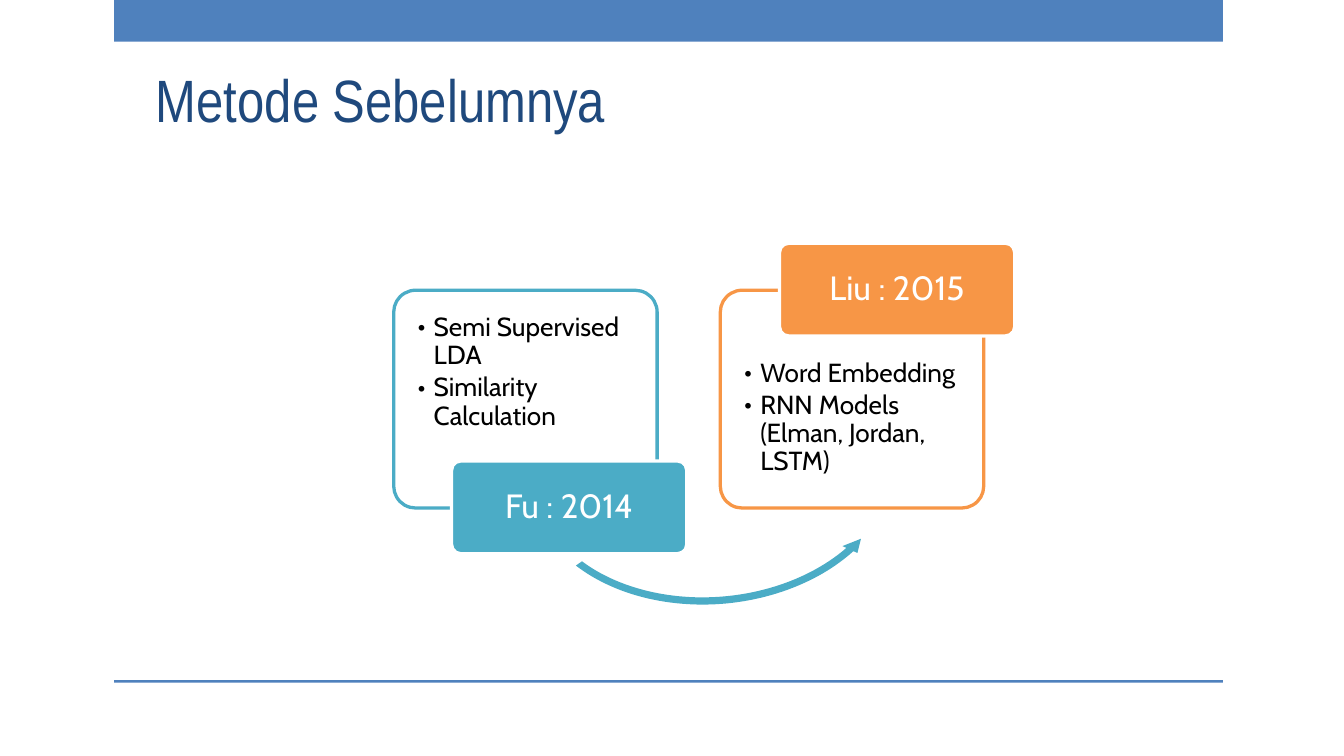
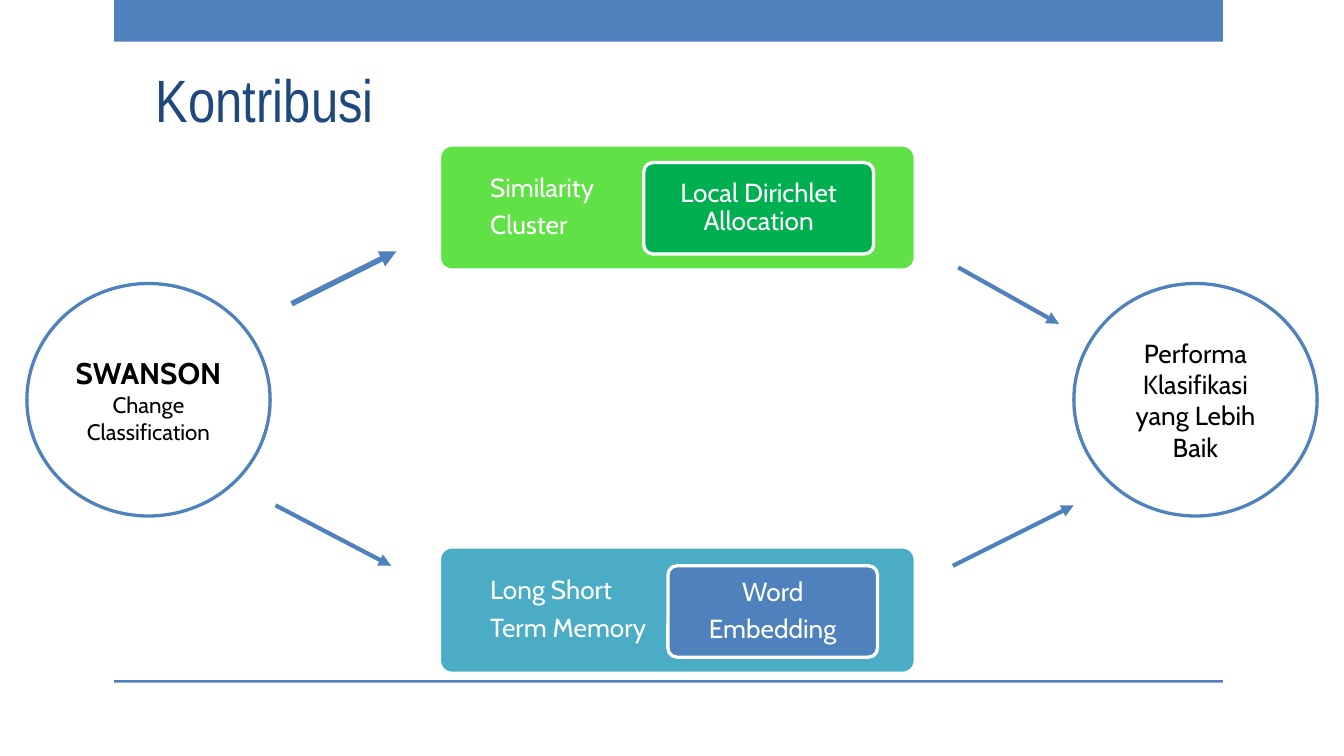
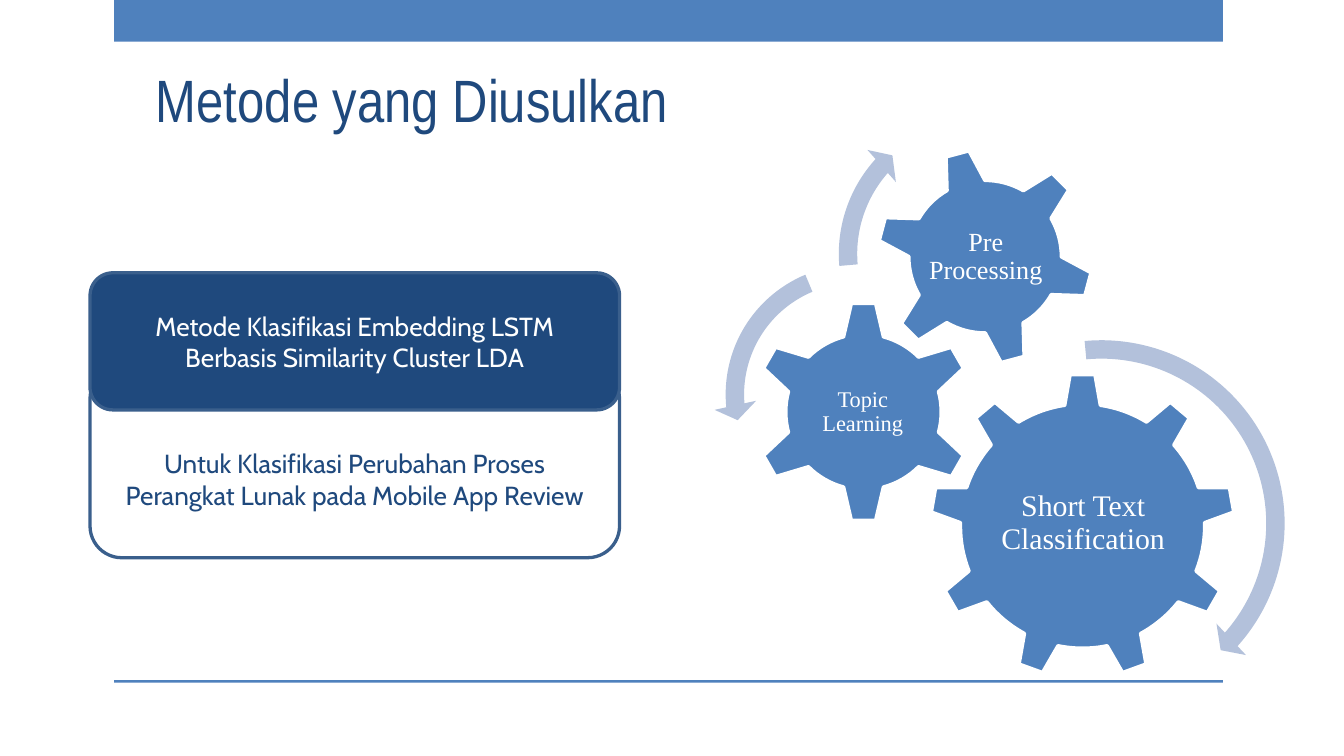
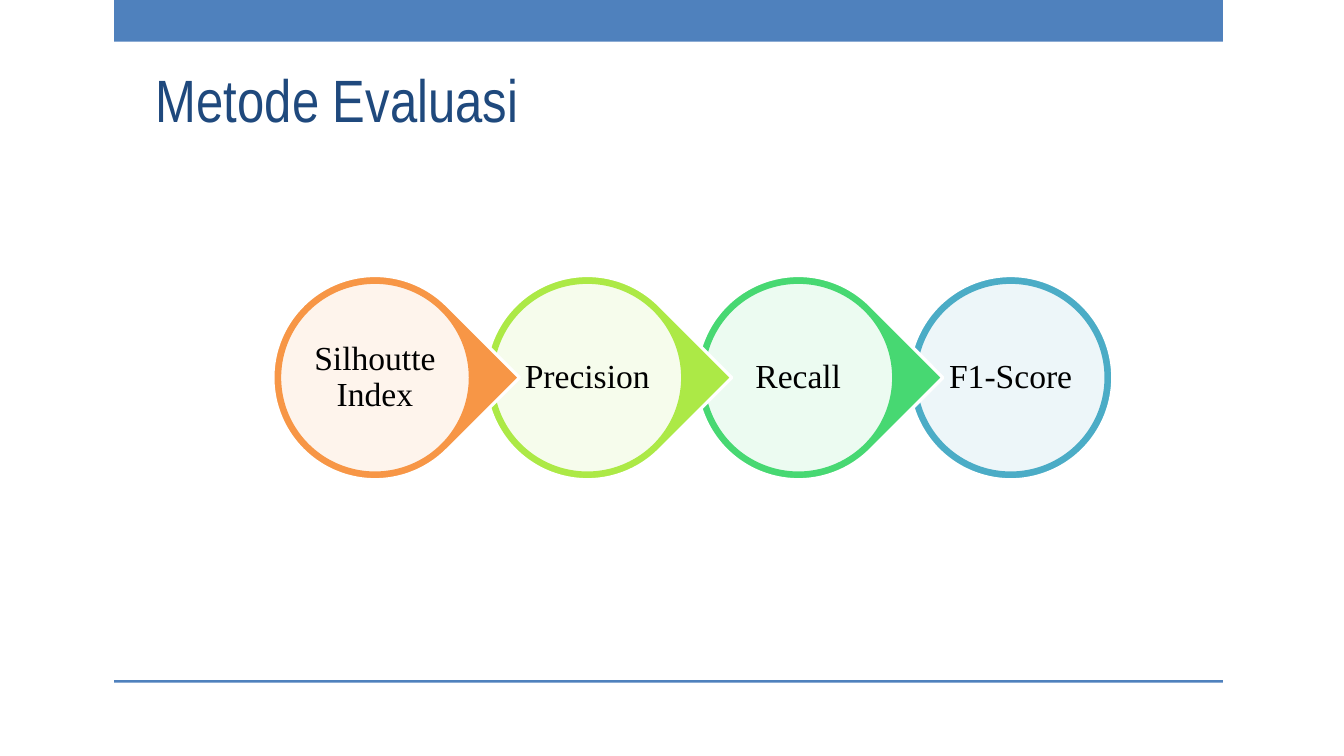
from lxml.etree import SubElement
from pptx import Presentation
from pptx.dml.color import RGBColor
from pptx.enum.shapes import MSO_CONNECTOR, MSO_SHAPE
from pptx.enum.text import MSO_ANCHOR, MSO_AUTO_SIZE, PP_ALIGN
from pptx.oxml.ns import qn
from pptx.util import Pt

PX = 9144  # EMU in one px, 100 px to the inch
SLIDE_WIDTH = 1000
LINE_WIDTH = 1.75

COLORS = {
    "white": "FFFFFF",
    "black": "000000",
    "blue": "4F81BD",
    "navy": "1F497D",
    "navy_edge": "3A5F8C",
    "pale_blue": "B3C1DB",
    "teal": "4BACC6",
    "orange": "F79646",
    "lime": "ACE946",
    "mint": "47D872",
    "bright_green": "60E146",
    "green": "00B050",
}
TITLE_FONT, SANS, SERIF = "Arial Narrow", "Cabin", "Times New Roman"


def rgb(name):
    return RGBColor.from_string(COLORS[name])


def emu(*lengths):
    return [length * PX for length in lengths]


# Building blocks

def add_shape(slide, kind, box, fill=None, line=None, alpha=None, rotation=0, corner=None):
    shape = slide.shapes.add_shape(kind, *emu(*box))
    shape.shadow.inherit = False
    shape.rotation = rotation
    if corner is not None:
        shape.adjustments[0] = corner
    if fill:
        shape.fill.solid()
        shape.fill.fore_color.rgb = rgb(fill)
    else:
        shape.fill.background()
    if alpha:
        color = shape.element.spPr.find(qn("a:solidFill")).find(qn("a:srgbClr"))
        SubElement(color, qn("a:alpha"), val=str(alpha * 1000))
    if line:
        shape.line.color.rgb = rgb(line)
        shape.line.width = Pt(LINE_WIDTH)
    else:
        shape.line.fill.background()
    return shape


def write(shape, lines, size, color, font=SANS, align=PP_ALIGN.CENTER,
          anchor=MSO_ANCHOR.MIDDLE, insets=(4, 3, 4, 3), spacing=1.0, after=0):
    """Fill a shape with one paragraph per line; insets are left, top, right, bottom."""
    frame = shape.text_frame
    frame.text = "\n".join(lines)
    frame.word_wrap = True
    frame.auto_size = MSO_AUTO_SIZE.NONE
    frame.vertical_anchor = anchor
    (frame.margin_left, frame.margin_top,
     frame.margin_right, frame.margin_bottom) = emu(*insets)
    for paragraph in frame.paragraphs:
        paragraph.alignment = align
        paragraph.line_spacing = spacing
        paragraph.space_after = Pt(after)
        for run in paragraph.runs:
            run.font.name = font
            run.font.size = Pt(size)
            run.font.color.rgb = rgb(color)
    return frame


def add_bullets(frame, indent):
    for paragraph in frame.paragraphs:
        properties = paragraph._p.get_or_add_pPr()
        properties.set("marL", str(indent * PX))
        properties.set("indent", str(-indent * PX))
        SubElement(properties, qn("a:buFont"), typeface=SANS)
        SubElement(properties, qn("a:buChar"), char="•")


def add_arrow(slide, start, end, width=2.25):
    arrow = slide.shapes.add_connector(MSO_CONNECTOR.STRAIGHT, *emu(*start, *end))
    arrow.line.color.rgb = rgb("blue")
    arrow.line.width = Pt(width)
    properties = arrow.element.spPr
    SubElement(properties.find(qn("a:ln")), qn("a:tailEnd"), type="triangle")
    SubElement(properties, qn("a:effectLst"))


def add_arc_arrow(slide, kind, box, fill, thickness, angles, head, rotation=0):
    """Thickness and head are percentages; angles (tip, end, start) are degrees."""
    arc = add_shape(slide, kind, box, fill, rotation=rotation)
    values = [thickness / 100, *(angle * 0.6 for angle in angles), head / 100]
    for index, value in enumerate(values):
        arc.adjustments[index] = value


def add_bands(slide):
    """Put the top band and the bottom rule behind everything on the layout."""
    layout_tree = slide.slide_layout.shapes.element
    for box in ((85, 0, 825, 31), (85, 506, 825, 2)):
        band = add_shape(slide, MSO_SHAPE.RECTANGLE, box, "blue")
        layout_tree.insert(2, band.element)


def add_titled_slide(deck, heading):
    slide = deck.slides.add_slide(deck.slide_layouts.get_by_name("Title Only"))
    title = slide.shapes.title
    title.left, title.top, title.width, title.height = emu(106, 37, 709, 68)
    write(title, [heading], 32, "navy", TITLE_FONT, PP_ALIGN.LEFT,
          MSO_ANCHOR.BOTTOM, (10, 5, 10, 5))
    return slide


# Elements of the content

def add_study_card(slide, left, color, points, text_top):
    card = add_shape(slide, MSO_SHAPE.ROUNDED_RECTANGLE, (left, 216, 196, 162),
                     "white", color, alpha=90, corner=0.1)
    frame = write(card, points, 14, "black", align=PP_ALIGN.LEFT, anchor=MSO_ANCHOR.TOP,
                  insets=(13, text_top, 13, 0), spacing=0.9, after=2)
    add_bullets(frame, 12)


def add_study_label(slide, left, top, color, study):
    label = add_shape(slide, MSO_SHAPE.ROUNDED_RECTANGLE, (left, top, 175, 69),
                      color, "white", corner=0.1)
    write(label, [study], 18, "white", spacing=0.9)


def add_method_box(slide, box, fill, lines, align=PP_ALIGN.CENTER, left_inset=4):
    method = add_shape(slide, MSO_SHAPE.ROUNDED_RECTANGLE, box, fill, "white", corner=0.1)
    write(method, lines, 14, "white", align=align, insets=(left_inset, 3, 4, 3),
          spacing=0.9, after=5)


def add_end_circle(slide, left, lines):
    circle = add_shape(slide, MSO_SHAPE.OVAL, (left, 211, 181, 173), "white", "blue")
    return write(circle, lines, 14, "black", insets=(9, 5, 9, 5))


def add_gear(slide, kind, box, label_box, label, size, rotation=0):
    add_shape(slide, kind, box, "blue", "white", rotation=rotation)
    caption = slide.shapes.add_textbox(*emu(*label_box))
    write(caption, [label], size, "white", SERIF, insets=(2, 2, 2, 2), spacing=0.9)


def add_measure(slide, left, color, measure, is_last):
    outer_kind = MSO_SHAPE.OVAL if is_last else MSO_SHAPE.TEAR
    add_shape(slide, outer_kind, (left, 205, 152, 152), color, "white",
              rotation=0 if is_last else 45)
    disc = add_shape(slide, MSO_SHAPE.OVAL, (left + 5, 210, 142, 142),
                     "white", color, alpha=90)
    write(disc, [measure], 18, "black", SERIF, insets=(0, 0, 0, 0), spacing=0.9)


# Slides

def build_previous_methods(deck):
    slide = add_titled_slide(deck, "Metode Sebelumnya")
    add_bands(slide)
    add_study_card(slide, 293, "teal", ["Semi Supervised LDA", "Similarity Calculation"], 13)
    add_arc_arrow(slide, MSO_SHAPE.LEFT_CIRCULAR_ARROW, (390, 248, 281, 205), "teal",
                  2.6, (5.23, 34.82, 150.41), 3, rotation=355)
    add_study_label(slide, 336, 343, "teal", "Fu : 2014")
    add_study_card(slide, 536, "orange",
                   ["Word Embedding", "RNN Models (Elman, Jordan, LSTM)"], 47)
    add_study_label(slide, 580, 181, "orange", "Liu : 2015")


def build_contribution(deck):
    slide = add_titled_slide(deck, "Kontribusi")
    source = add_end_circle(slide, 20, ["SWANSON", "Change Classification"])
    for paragraph, size, bold in zip(source.paragraphs, (16, 12), (True, False)):
        paragraph.runs[0].font.size = Pt(size)
        paragraph.runs[0].font.bold = bold
    add_end_circle(slide, 799, ["Performa Klasifikasi yang Lebih Baik"])

    # Each method holds the technique it builds on
    add_method_box(slide, (327, 407, 354, 94), "teal",
                   ["Long Short", "Term Memory"], PP_ALIGN.LEFT, 35)
    add_method_box(slide, (497, 421, 156, 68), "blue", ["Word", "Embedding"])
    add_method_box(slide, (327, 108, 354, 93), "bright_green",
                   ["Similarity", "Cluster"], PP_ALIGN.LEFT, 35)
    add_method_box(slide, (479, 121, 171, 68), "green", ["Local Dirichlet Allocation"])

    add_arrow(slide, (217, 226), (295, 187), width=3)
    add_arrow(slide, (205, 376), (291, 421))
    add_arrow(slide, (713, 199), (788, 241))
    add_arrow(slide, (709, 421), (799, 376))


def build_proposed_method(deck):
    slide = add_titled_slide(deck, "Metode yang Diusulkan")
    purpose = add_shape(slide, MSO_SHAPE.ROUNDED_RECTANGLE, (67, 273, 394, 142),
                        line="navy_edge")
    write(purpose, ["Untuk Klasifikasi Perubahan Proses Perangkat Lunak pada Mobile App Review"],
          14, "navy", insets=(10, 30, 10, 5))
    method = add_shape(slide, MSO_SHAPE.ROUNDED_RECTANGLE, (67, 203, 394, 102),
                       "navy", "navy_edge")
    write(method, ["Metode Klasifikasi Embedding LSTM", "Berbasis Similarity Cluster LDA"],
          14, "white", insets=(10, 5, 10, 5))

    # Gears and the arrows that turn them
    add_gear(slide, MSO_SHAPE.GEAR_9, (692, 278, 227, 227), (738, 331, 136, 117),
             "Short Text Classification", 16)
    add_gear(slide, MSO_SHAPE.GEAR_6, (560, 224, 165, 165), (601, 266, 82, 82),
             "Topic Learning", 12)
    add_gear(slide, MSO_SHAPE.GEAR_6, (652, 110, 162, 162), (688, 146, 91, 91),
             "Pre Processing", 14, rotation=345)
    add_arc_arrow(slide, MSO_SHAPE.CIRCULAR_ARROW, (674, 244, 291, 291), "pale_blue",
                  4.7, (4.98, 41.76, 264.74), 5.5)
    add_arc_arrow(slide, MSO_SHAPE.LEFT_CIRCULAR_ARROW, (531, 188, 211, 211), "pale_blue",
                  6.5, (7.17, 174.82, 247.3), 7.5)
    add_arc_arrow(slide, MSO_SHAPE.CIRCULAR_ARROW, (615, 75, 228, 228), "pale_blue",
                  6, (6.57, 221.9, 175.14), 7)


def build_evaluation(deck):
    slide = add_titled_slide(deck, "Metode Evaluasi")
    measures = [("Silhoutte Index", "orange"), ("Precision", "lime"),
                ("Recall", "mint"), ("F1-Score", "teal")]
    first_left, last_left = 203, 676
    last = len(measures) - 1
    # From right to left, so each point overlaps the next circle
    for index in range(last, -1, -1):
        measure, color = measures[index]
        left = first_left + round((last_left - first_left) * index / last)
        add_measure(slide, left, color, measure, index == last)


def main():
    deck = Presentation()
    deck.slide_width = SLIDE_WIDTH * PX
    deck.slide_height = deck.slide_width * 9 // 16
    build_previous_methods(deck)
    build_contribution(deck)
    build_proposed_method(deck)
    build_evaluation(deck)
    deck.save("out.pptx")


if __name__ == "__main__":
    main()
